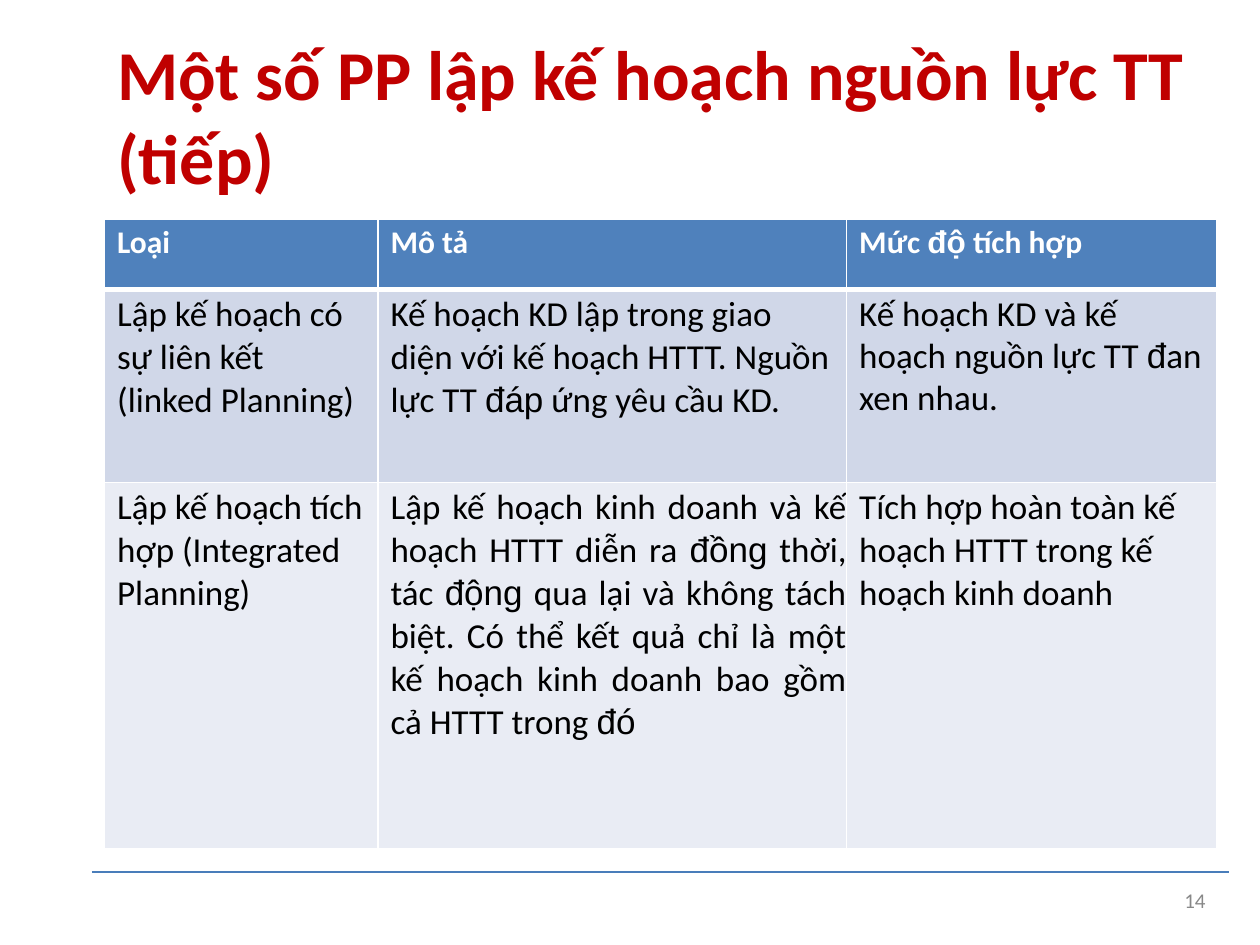
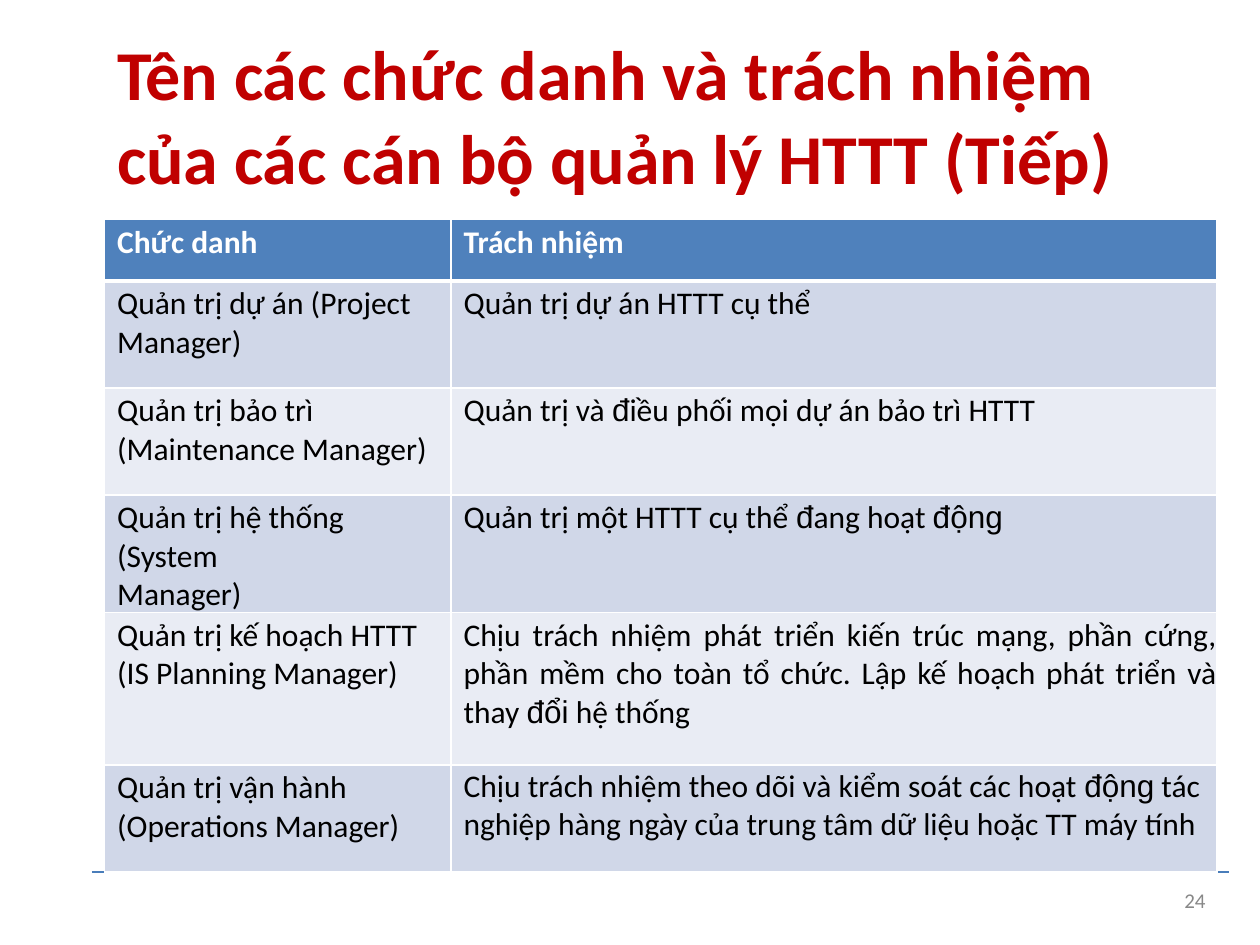
import pptx
import pptx.util
import pptx.dml.color
import pptx.enum.shapes
import pptx.enum.text
import pptx.oxml.ns
from lxml import etree

Inches, Pt = pptx.util.Inches, pptx.util.Pt
RGBColor = pptx.dml.color.RGBColor
PP_ALIGN = pptx.enum.text.PP_ALIGN
qn = pptx.oxml.ns.qn

TITLE_RED = RGBColor(0xC0, 0x00, 0x00)
HEADER_BLUE = RGBColor(0x4F, 0x81, 0xBC)
BAND_DARK = RGBColor(0xD0, 0xD7, 0xE8)
BAND_LIGHT = RGBColor(0xE9, 0xEC, 0xF4)
RULE_BLUE = RGBColor(0x49, 0x7D, 0xBA)
NUMBER_GREY = RGBColor(0x88, 0x88, 0x88)
WHITE = RGBColor(0xFF, 0xFF, 0xFF)
BLACK = RGBColor(0x00, 0x00, 0x00)

BODY_FONT = "Calibri"
MARKED_FONT = "Arial"
TABLE_LEFT, TABLE_TOP = 0.83, 1.74
CELL_LEFT, CELL_TOP = 0.1, 0.03

# Text between asterisks is set in MARKED_FONT; "\v" is a line break.
SLIDES = [
    {
        "title": "Một số PP lập kế hoạch nguồn lực TT (tiếp)",
        "number": "14",
        "body_size": 20,
        "columns": [2.17, 3.72, 2.94],
        "heights": [0.56, 1.53, 2.91],
        "justified": [(2, 1)],
        "line_points": {(1, 2, 1): 23.8},
        "rows": [
            ["Loại", "Mô tả", "Mức *độ* tích hợp"],
            [
                "Lập kế hoạch có\vsự liên kết\v(linked Planning)",
                "Kế hoạch KD lập trong giao\vdiện với kế hoạch HTTT. Nguồn "
                "lực TT *đáp* ứng yêu cầu KD.",
                "Kế hoạch KD và kế\nhoạch nguồn lực TT *đ*an xen nhau.",
            ],
            [
                "Lập kế hoạch tích hợp (Integrated Planning)",
                "Lập kế hoạch kinh doanh và kế hoạch HTTT diễn ra *đồng* thời, "
                "tác *động* qua lại và không tách biệt. Có thể kết quả chỉ là "
                "một kế hoạch kinh doanh bao gồm cả HTTT trong *đó*",
                "Tích hợp hoàn toàn kế hoạch HTTT trong kế hoạch kinh doanh",
            ],
        ],
    },
    {
        "title": "Tên các chức danh và trách nhiệm của các cán bộ quản lý HTTT (Tiếp)",
        "number": "24",
        "body_size": 18,
        "columns": [2.75, 6.08],
        "heights": [0.49, 0.85, 0.85, 0.93, 1.21, 0.85],
        "justified": [(4, 1)],
        "line_points": {(5, 1, 0): 21.5},
        "rows": [
            ["Chức danh", "Trách nhiệm"],
            ["Quản trị dự án (Project\vManager)", "Quản trị dự án HTTT cụ thể"],
            [
                "Quản trị bảo trì\v(Maintenance Manager)",
                "Quản trị và *đ*iều phối mọi dự án bảo trì HTTT",
            ],
            [
                "Quản trị hệ thống\v(System\vManager)",
                "Quản trị một HTTT cụ thể *đ*ang hoạt *động*",
            ],
            [
                "Quản trị kế hoạch HTTT\v(IS Planning Manager)",
                "Chịu trách nhiệm phát triển kiến trúc mạng, phần cứng, phần mềm "
                "cho toàn tổ chức. Lập kế hoạch phát triển và thay *đổi* hệ thống",
            ],
            [
                "Quản trị vận hành\v(Operations Manager)",
                "Chịu trách nhiệm theo dõi và kiểm soát các hoạt *động* tác nghiệp "
                "hàng ngày của trung tâm dữ liệu hoặc TT máy tính",
            ],
        ],
    },
]


def style(paragraph, size, color, bold=False):
    font = paragraph.font
    font.name, font.size, font.bold = BODY_FONT, Pt(size), bold
    font.color.rgb = color


def write(paragraph, text):
    for part_index, part in enumerate(text.split("*")):
        for line_index, line in enumerate(part.split("\v")):
            if line_index:
                paragraph.add_line_break()
            if line:
                run = paragraph.add_run()
                run.text = line
                if part_index % 2:
                    run.font.name = MARKED_FONT


def add_label(slide, text, left, top, width, height, margins, size, color, bold=False):
    box = slide.shapes.add_textbox(*map(Inches, (left, top, width, height)))
    frame = box.text_frame
    frame.word_wrap = True
    frame.margin_left, frame.margin_top = map(Inches, margins)
    frame.margin_right = frame.margin_bottom = 0
    paragraph = frame.paragraphs[0]
    write(paragraph, text)
    style(paragraph, size, color, bold)
    return paragraph


def add_borders(cell, top, bottom):
    properties = cell._tc.get_or_add_tcPr()
    sides = [("a:lnL", 1), ("a:lnR", 1), ("a:lnT", top), ("a:lnB", bottom)]
    for position, (tag, width) in enumerate(sides):
        line = etree.Element(qn(tag), w=str(Pt(width)))
        fill = etree.SubElement(line, qn("a:solidFill"))
        etree.SubElement(fill, qn("a:srgbClr"), val=str(WHITE))
        properties.insert(position, line)


def fill_cell(cell, content, row, column):
    header = row == 0
    cell.margin_left, cell.margin_top = Inches(CELL_LEFT), Inches(CELL_TOP)
    cell.margin_right = cell.margin_bottom = 0
    cell.fill.solid()
    cell.fill.fore_color.rgb = (
        HEADER_BLUE if header else BAND_DARK if row % 2 else BAND_LIGHT
    )
    add_borders(cell, 3 if row == 1 else 1, 3 if header else 1)

    frame = cell.text_frame
    for index, text in enumerate(content["rows"][row][column].split("\n")):
        paragraph = frame.add_paragraph() if index else frame.paragraphs[0]
        write(paragraph, text)
        if (row, column) in content["justified"]:
            paragraph.alignment = PP_ALIGN.JUSTIFY
        points = content["line_points"].get((row, column, index))
        if points:
            paragraph.line_spacing = Pt(points)
        if header:
            style(paragraph, 18, WHITE, True)
        else:
            style(paragraph, content["body_size"], BLACK)


def add_grid(slide, content):
    columns, heights = content["columns"], content["heights"]
    grid = slide.shapes.add_table(
        len(heights), len(columns), Inches(TABLE_LEFT), Inches(TABLE_TOP),
        Inches(sum(columns)), Inches(sum(heights)),
    ).table
    for column, width in zip(grid.columns, columns):
        column.width = Inches(width)
    for row, height in zip(grid.rows, heights):
        row.height = Inches(height)
    for row in range(len(heights)):
        for column in range(len(columns)):
            fill_cell(grid.cell(row, column), content, row, column)


def add_footer_rule(slide):
    rule = slide.shapes.add_connector(
        pptx.enum.shapes.MSO_CONNECTOR.STRAIGHT,
        Inches(0.73), Inches(6.92), Inches(9.75), Inches(6.92),
    )
    rule.line.color.rgb = RULE_BLUE
    rule.line.width = Pt(0.78)
    etree.SubElement(rule._element.spPr, qn("a:effectLst"))


def main():
    deck = pptx.Presentation()
    deck.slide_width, deck.slide_height = Inches(10), Inches(7.5)
    for content in SLIDES:
        slide = deck.slides.add_slide(deck.slide_layouts[6])
        add_footer_rule(slide)
        add_label(slide, content["title"], 0.56, 0.21, 8.88, 1.36,
                  (0.37, 0.03), 40, TITLE_RED, True)
        number = add_label(slide, content["number"], 9.36, 7.07, 0.27, 0.19,
                           (0.04, 0), 12, NUMBER_GREY)
        number.line_spacing = Pt(12.4)
        add_grid(slide, content)
    deck.save("out.pptx")


if __name__ == "__main__":
    main()
